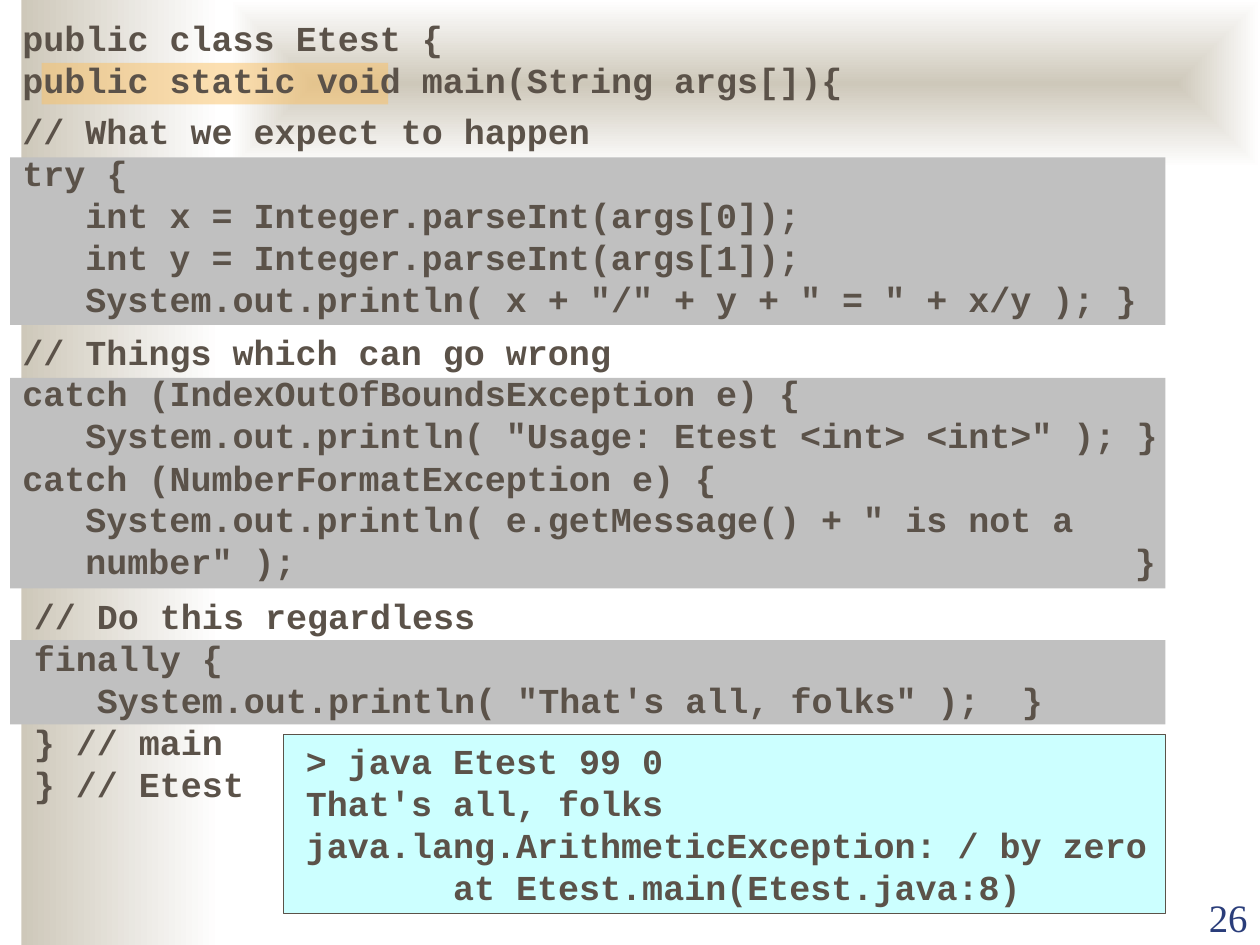
"""Build a slide with a Java exception example and its program output."""
from lxml.etree import SubElement
from pptx import Presentation
from pptx.dml.color import RGBColor
from pptx.enum.shapes import MSO_SHAPE
from pptx.enum.text import MSO_ANCHOR, PP_ALIGN
from pptx.oxml.ns import qn
from pptx.util import Inches, Pt

LINE_STEP = 1 / 3
INDENT = 0.5
CLOSING_BRACE_TAB = 8.33

CODE_BLOCKS = [
    (0.08, 0.08, [
        (0, 5.58, "public class Etest {"),
        (0, 7.92, "public static void main(String args[]){"),
    ]),
    (0.08, 0.82, [
        (0, 6.67, "// What we expect to happen"),
        (0, 3.58, "try {"),
        (1, 6.08, "int x = Integer.parseInt(args[0]);"),
        (1, 8.33, "int y = Integer.parseInt(args[1]);"),
        (1, 8.58, 'System.out.println( x + "/" + y + " = " + x/y ); }'),
    ]),
    (0.08, 2.57, [
        (0, 6.17, "// Things which can go wrong"),
        (0, 9.08, "catch (IndexOutOfBoundsException e) {"),
        (1, 8.75, 'System.out.println( "Usage: Etest <int> <int>" ); }'),
        (0, 9, "catch (NumberFormatException e) {"),
        (1, 8.83, 'System.out.println( e.getMessage() + " is not a number" );\t}'),
    ]),
    (0.17, 4.67, [
        (0, 6.42, "// Do this regardless"),
        (0, 3.17, "finally {"),
        (1, 8.42, 'System.out.println( "That\'s all, folks" );  }'),
        (0, 2.5, "} // main"),
        (0, 2.42, "} // Etest"),
    ]),
    (2.33, 5.82, [
        (0, 3.33, "> java Etest 99 0"),
        (0, 3.67, "That's all, folks"),
        (0, 7, "java.lang.ArithmeticException: / by zero\v       at Etest.main(Etest.java:8)"),
    ]),
]


def color(hex_text):
    """Turn a hex string into a colour."""
    return RGBColor.from_string(hex_text)


def write(box, text, font="Courier New", size=20, ink="5B5249", bold=True,
          align=PP_ALIGN.LEFT, anchor=MSO_ANCHOR.TOP, tab=None):
    """Put formatted text into a box."""
    frame = box.text_frame
    frame.word_wrap = True
    frame.vertical_anchor = anchor
    para = frame.paragraphs[0]
    para.text = text
    para.alignment = align
    if tab is not None:
        tabs = SubElement(para._p.get_or_add_pPr(), qn("a:tabLst"))
        SubElement(tabs, qn("a:tab"), pos=str(Inches(tab)), algn="l")
    for span in para.runs:
        span.font.name = font
        span.font.size = Pt(size)
        span.font.bold = bold
        span.font.color.rgb = color(ink)


class SlideBuilder:
    """Hold the page and its style and add each kind of element."""

    gradient_colors = ("CEC8BA", "FFFFFF")

    def __init__(self, page):
        """Keep the current slide."""
        self.page = page

    def rectangle(self, left, top, width, height):
        """Add a rectangle without line or shadow."""
        box = self.page.shapes.add_shape(
            MSO_SHAPE.RECTANGLE, Inches(left), Inches(top), Inches(width), Inches(height))
        box.shadow.inherit = False
        box.line.fill.background()
        return box

    def panel(self, left, top, width, height, fill, line=None, opacity=None):
        """Add a plainly filled rectangle."""
        box = self.rectangle(left, top, width, height)
        box.fill.solid()
        box.fill.fore_color.rgb = color(fill)
        if line:
            box.line.color.rgb = color(line)
            box.line.width = Pt(0.75)
        if opacity is not None:
            shade = box._element.spPr.find(qn("a:solidFill"))[0]
            SubElement(shade, qn("a:alpha"), val=str(opacity * 1000))

    def gradient(self, left, top, width, height, from_center=False):
        """Add a rectangle fading to the right or out from its center."""
        box = self.rectangle(left, top, width, height)
        box.fill.gradient()
        box.fill.gradient_angle = 0
        for stop, shade in zip(box.fill.gradient_stops, self.gradient_colors):
            stop.color.rgb = color(shade)
        if from_center:
            fill = box._element.spPr.find(qn("a:gradFill"))
            fill.remove(fill.find(qn("a:lin")))
            center = SubElement(fill, qn("a:path"), path="rect")
            SubElement(center, qn("a:fillToRect"), {side: "50000" for side in "ltrb"})

    def text(self, left, top, width, height, text, **style):
        """Add a text box."""
        box = self.page.shapes.add_textbox(
            Inches(left), Inches(top), Inches(width), Inches(height))
        write(box, text, **style)

    def code(self, left, top, lines):
        """Add a block of code with evenly spaced lines."""
        for row, (level, width, line) in enumerate(lines):
            tall = "\t" in line or "\v" in line
            self.text(left + level * INDENT, top + row * LINE_STEP, width,
                      0.77 if tall else 0.44, line,
                      tab=CLOSING_BRACE_TAB if "\t" in line else None)


def main():
    """Build and save the deck."""
    deck = Presentation()
    deck.slide_width, deck.slide_height = Inches(10), Inches(7.5)
    builder = SlideBuilder(deck.slides.add_slide(deck.slide_layouts[6]))
    builder.gradient(0.17, 0, 1.58, 7.5)
    builder.gradient(1.83, 0, 8.17, 1.33, from_center=True)
    builder.panel(0.33, 0.5, 2.75, 0.33, "FAC164", opacity=50)
    builder.text(9, 7.01, 1, 0.5, "26", font="Times New Roman", size=22.2, ink="2A3D7A",
                 bold=False, align=PP_ALIGN.RIGHT, anchor=MSO_ANCHOR.BOTTOM)
    builder.panel(2.25, 5.83, 7, 1.42, "CCFFFF", line="5B5249")
    for top, height in [(5.08, 0.67), (3, 1.67), (1.25, 1.33)]:
        builder.panel(0.08, top, 9.17, height, "C0C0C0")
    for left, top, lines in CODE_BLOCKS:
        builder.code(left, top, lines)
    deck.save("out.pptx")


if __name__ == "__main__":
    main()
